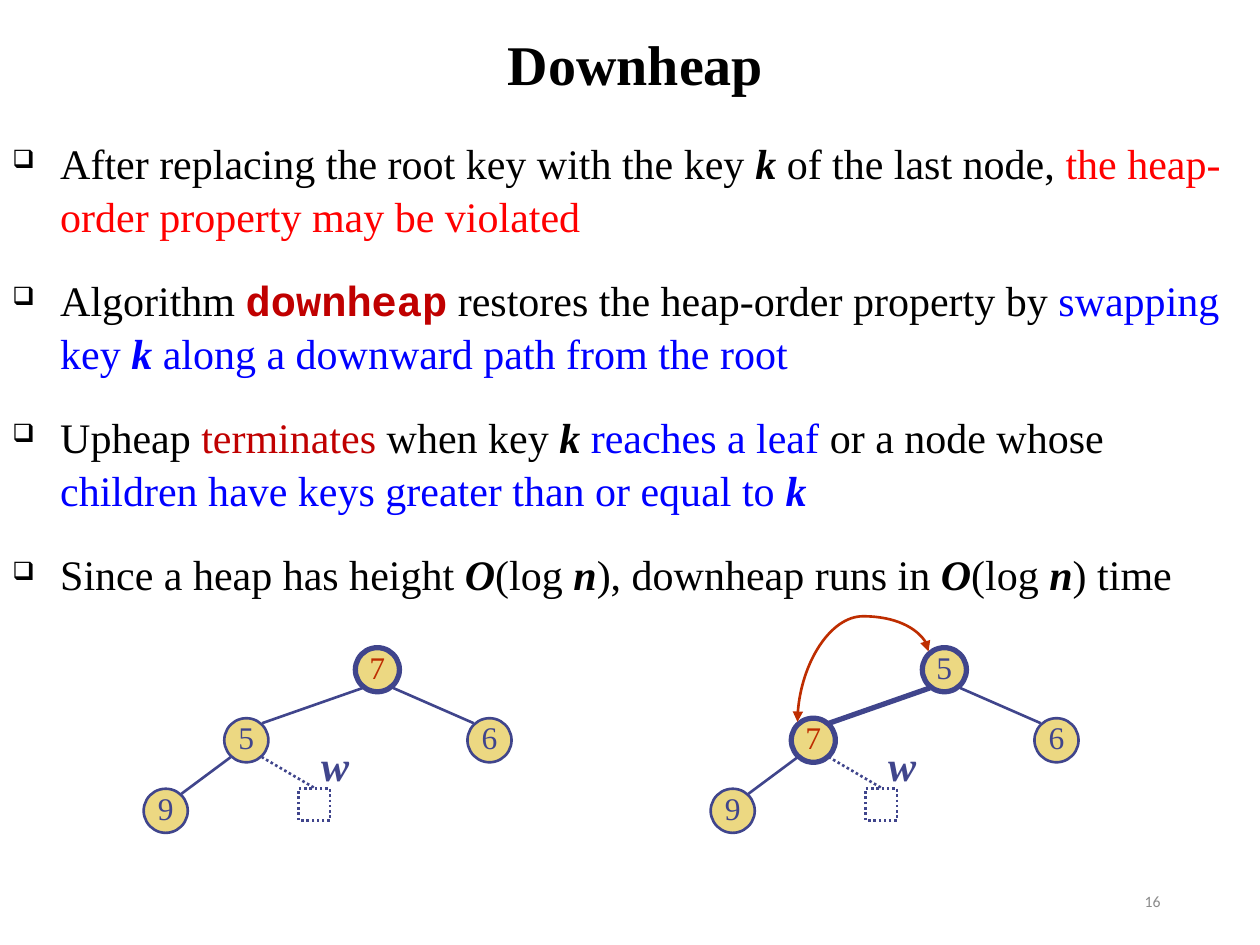
"""Build the Downheap slide: four bullet points above two heap trees."""
from lxml.etree import SubElement
from pptx import Presentation
from pptx.dml.color import RGBColor
from pptx.enum.dml import MSO_LINE
from pptx.enum.shapes import MSO_CONNECTOR as Connector, MSO_SHAPE as Shape
from pptx.enum.text import MSO_ANCHOR as Anchor, PP_ALIGN as Align
from pptx.oxml.ns import qn
from pptx.util import Inches, Pt

COLORS = {
    "black": "000000", "white": "FFFFFF", "gray": "8C8C8C", "red": "FF0000",
    "crimson": "C00000", "blue": "0000FF", "indigo": "40458C",
    "gold": "ECD882", "rust": "BE2D00",
}
SERIF = "Times New Roman"
CODE = "Courier New"

BULLETS = [
    [("After replacing the root key with the key ", "black", ""), ("k", "black", "bi"),
     (" of the last node, ", "black", ""),
     ("the heap-order property may be violated", "red", "")],
    [("Algorithm ", "black", ""), ("downheap", "crimson", "code"),
     (" restores the heap-order property by ", "black", ""),
     ("swapping key ", "blue", ""), ("k", "blue", "bi"),
     (" along a downward path from the root", "blue", "")],
    [("Upheap ", "black", ""), ("terminates", "crimson", ""), (" when key ", "black", ""),
     ("k ", "black", "bi"), ("reaches a leaf ", "blue", ""), ("or a node whose ", "black", ""),
     ("children have keys greater than or equal to ", "blue", ""), ("k", "blue", "bi")],
    [("Since a heap has height ", "black", ""), ("O", "black", "bi"), ("(log ", "black", ""),
     ("n", "black", "bi"), ("), downheap runs in ", "black", ""), ("O", "black", "bi"),
     ("(log ", "black", ""), ("n", "black", "bi"), (") time", "black", "")],
]

NODE_SIZE = 0.35
NODE_PLACES = {"root": (2.82, 5.14), "right": (3.71, 5.7), "left": (1.78, 5.7), "leaf": (1.14, 6.26)}
EDGES = {
    "root-left": (2.88, 5.46, 2.08, 5.74),
    "root-right": (3.76, 5.74, 3.12, 5.46),
    "left-leaf": (1.44, 6.3, 1.83, 6.01),
    "left-w": (2.49, 6.25, 2.08, 6.01),
}
TREES = [
    {"offset": 0, "keys": {"root": "7", "right": "6", "left": "5", "leaf": "9"},
     "thick": {"root"}},
    {"offset": 4.5, "keys": {"root": "5", "right": "6", "left": "7", "leaf": "9"},
     "thick": {"root", "left", "root-left"}},
]
MOVED_KEY = "7"


def rgb(name):
    return RGBColor.from_string(COLORS[name])


def add_run(paragraph, text, size, color, font=SERIF, bold=False, italic=False):
    run = paragraph.add_run()
    run.text = text
    run.font.size = Pt(size)
    run.font.name = font
    run.font.bold = bold
    run.font.italic = italic
    run.font.color.rgb = rgb(color)


def add_text_box(slide, place, anchor=Anchor.TOP, wrap=True):
    box = slide.shapes.add_textbox(*map(Inches, place))
    frame = box.text_frame
    frame.word_wrap = wrap
    frame.vertical_anchor = anchor
    return frame


def add_label(slide, place, text, size, color, align, anchor=Anchor.TOP, wrap=True, **style):
    paragraph = add_text_box(slide, place, anchor, wrap).paragraphs[0]
    paragraph.alignment = align
    add_run(paragraph, text, size, color, **style)


def set_bullet(paragraph):
    properties = paragraph._p.get_or_add_pPr()
    properties.set("marL", str(Inches(0.38)))
    properties.set("indent", str(-Inches(0.38)))
    color = SubElement(properties, qn("a:buClr"))
    SubElement(color, qn("a:srgbClr"), val=COLORS["black"])
    SubElement(properties, qn("a:buSzPct"), val="60000")
    SubElement(properties, qn("a:buChar"), char="❑")


def add_bullets(slide):
    frame = add_text_box(slide, (0, 1.02, 10, 3.77))
    for index, runs in enumerate(BULLETS):
        paragraph = frame.add_paragraph() if index else frame.paragraphs[0]
        paragraph.space_before = Pt(18)
        paragraph.line_spacing = 1.05
        set_bullet(paragraph)
        for text, color, style in runs:
            add_run(paragraph, text, 24, color, CODE if style == "code" else SERIF,
                    bold=style != "", italic=style == "bi")


def style_line(line, color="indigo", width=1.5, dotted=False):
    line.color.rgb = rgb(color)
    line.width = Pt(width)
    if dotted:
        line.dash_style = MSO_LINE.ROUND_DOT


def add_line(slide, kind, ends, **style):
    connector = slide.shapes.add_connector(kind, *map(Inches, ends))
    style_line(connector.line, **style)
    SubElement(connector._element.spPr, qn("a:effectLst"))
    return connector


def add_outline(slide, kind, place, fill, **style):
    shape = slide.shapes.add_shape(kind, *map(Inches, place))
    shape.shadow.inherit = False
    shape.fill.solid()
    shape.fill.fore_color.rgb = rgb(fill)
    style_line(shape.line, **style)
    return shape


def add_node(slide, left, top, key, width):
    node = add_outline(slide, Shape.OVAL, (left, top, NODE_SIZE, NODE_SIZE), "gold", width=width)
    frame = node.text_frame
    frame.margin_left = frame.margin_right = frame.margin_top = 0
    frame.margin_bottom = Inches(0.05)
    frame.word_wrap = False
    frame.vertical_anchor = Anchor.MIDDLE
    paragraph = frame.paragraphs[0]
    paragraph.alignment = Align.CENTER
    add_run(paragraph, key, 18, "rust" if key == MOVED_KEY else "indigo")


def add_tree(slide, offset, keys, thick):
    for name, (x1, y1, x2, y2) in EDGES.items():
        add_line(slide, Connector.STRAIGHT, (x1 + offset, y1, x2 + offset, y2),
                 width=3 if name in thick else 1.5, dotted=name == "left-w")
    for name, (left, top) in NODE_PLACES.items():
        add_node(slide, left + offset, top, keys[name], 3 if name in thick else 1.5)
    add_label(slide, (2.45 + offset, 5.82, 0.42, 0.5), "w", 24, "indigo", Align.CENTER,
              wrap=False, bold=True, italic=True)
    add_outline(slide, Shape.RECTANGLE, (2.37 + offset, 6.26, 0.25, 0.25), "white", dotted=True)


def add_swap_arrow(slide):
    arrow = add_line(slide, Connector.CURVE, (7.13, 5.97, 6.57, 4.93), color="rust")
    properties = arrow._element.spPr
    properties.find(qn("a:xfrm")).set("rot", str(270 * 60000))
    adjustments = properties.find(qn("a:prstGeom")).find(qn("a:avLst"))
    SubElement(adjustments, qn("a:gd"), name="adj1", fmla="val -49800")
    for end in ("a:headEnd", "a:tailEnd"):
        SubElement(properties.find(qn("a:ln")), qn(end), type="triangle")


def main():
    presentation = Presentation()
    presentation.slide_width, presentation.slide_height = Inches(10), Inches(7.5)
    slide = presentation.slides.add_slide(presentation.slide_layouts[6])
    add_label(slide, (7.06, 6.95, 2.25, 0.4), "16", 9, "gray", Align.RIGHT,
              Anchor.MIDDLE, font="Calibri")
    add_label(slide, (0.67, 0.04, 8.75, 0.78), "Downheap", 32, "black", Align.CENTER,
              Anchor.BOTTOM, bold=True)
    add_bullets(slide)
    for tree in TREES:
        add_tree(slide, **tree)
    add_swap_arrow(slide)
    presentation.save("out.pptx")


if __name__ == "__main__":
    main()
